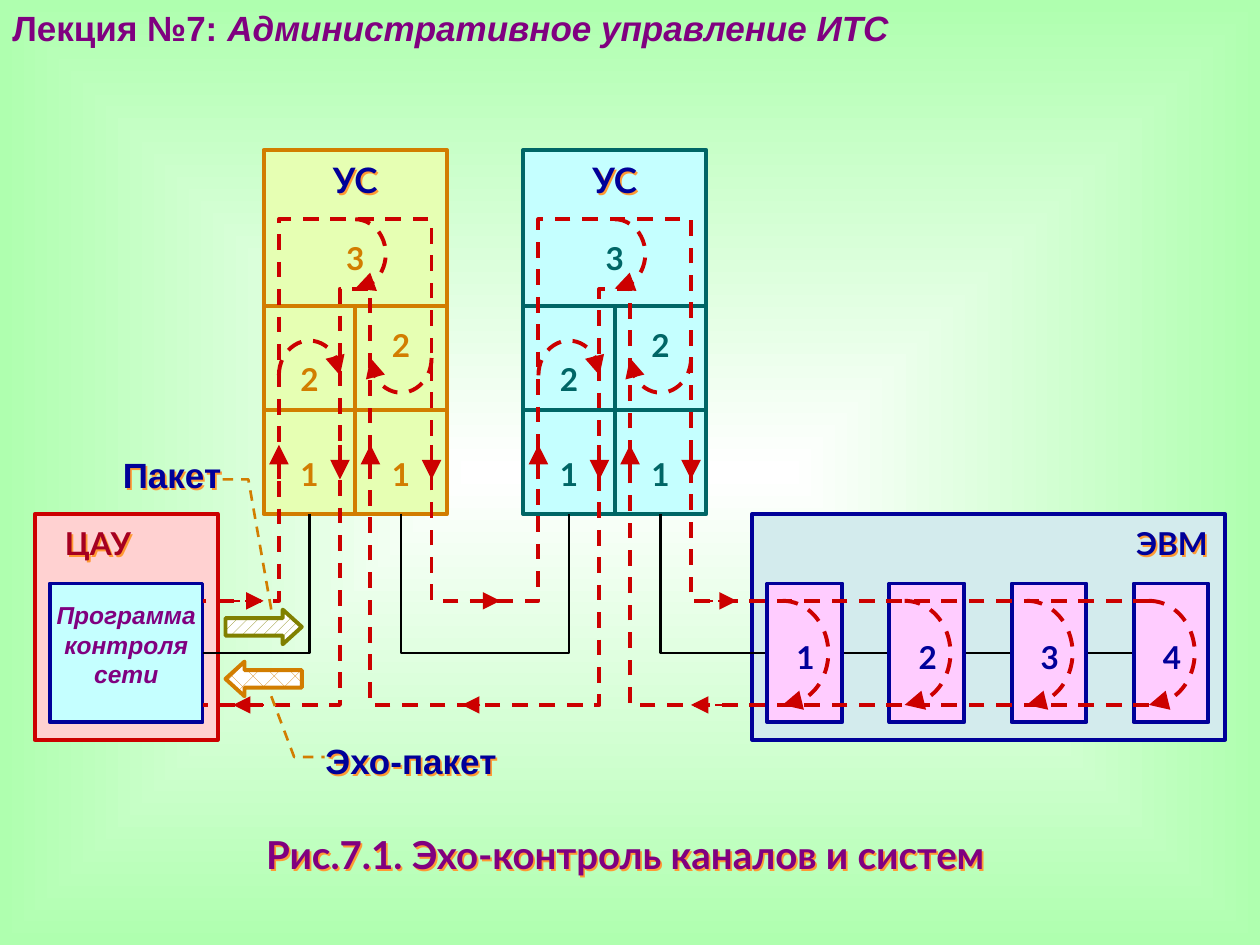
from dataclasses import dataclass

from lxml import etree
from pptx import Presentation
from pptx.dml.color import RGBColor
from pptx.enum.dml import MSO_LINE, MSO_PATTERN
from pptx.enum.shapes import MSO_CONNECTOR, MSO_SHAPE
from pptx.enum.text import MSO_ANCHOR, PP_ALIGN
from pptx.oxml.ns import qn
from pptx.util import Inches, Pt

RECT, ARC = MSO_SHAPE.RECTANGLE, MSO_SHAPE.ARC
RIGHT, LEFT = MSO_SHAPE.RIGHT_ARROW, MSO_SHAPE.LEFT_ARROW
DOTS, BRICK = MSO_PATTERN.PERCENT_20, MSO_PATTERN.DIAGONAL_BRICK
STRAIGHT, DASH = MSO_CONNECTOR.STRAIGHT, MSO_LINE.DASH
MIDDLE, CENTER = MSO_ANCHOR.MIDDLE, PP_ALIGN.CENTER

WHITE = RGBColor(0xFF, 0xFF, 0xFF)
BLACK = RGBColor(0, 0, 0)
MINT = RGBColor(0xAF, 0xFF, 0xAF)
PURPLE = RGBColor(0x80, 0x00, 0x80)
NAVY = RGBColor(0x00, 0x00, 0x99)
RED = RGBColor(0xCC, 0x00, 0x00)
WINE = RGBColor(0xA5, 0x00, 0x21)
AMBER = RGBColor(0xD2, 0x7D, 0x00)
TEAL = RGBColor(0x00, 0x66, 0x66)
OLIVE = RGBColor(0x80, 0x80, 0x00)
LIME = RGBColor(0xE6, 0xFF, 0xB3)
CYAN = RGBColor(0xC5, 0xFF, 0xFF)
ROSE = RGBColor(0xFF, 0xD1, 0xD1)
PINK = RGBColor(0xFF, 0xCC, 0xFF)
STEEL = RGBColor(0xD3, 0xEB, 0xED)
GLOW = RGBColor(0xFF, 0x99, 0x33)

COL, ROW = 9.45 / 78, 4.68 / 34
EAST, SOUTH, WEST, NORTH = 0, 54, 108, 162


@dataclass(frozen=True)
class Pen:
    color: RGBColor
    width: float = 2.25
    dash: bool = False
    head: bool = False


@dataclass(frozen=True)
class Box:
    col: float
    row: float
    cols: float
    rows: float
    fill: RGBColor
    edge: RGBColor


@dataclass(frozen=True)
class Label:
    text: str
    col: float
    row: float
    color: RGBColor
    size: int = 18
    font: str = "Lato"
    cols: float = 6
    rows: float = 2.5
    glow: bool = False
    slant: bool = False


@dataclass(frozen=True)
class Node:
    col: int
    fill: RGBColor
    edge: RGBColor


def at(col: float, row: float) -> tuple[int, int]:
    return Inches(0.275 + col * COL), Inches(1.19 + row * ROW)


def span(cols: float, rows: float) -> tuple[int, int]:
    return Inches(cols * COL), Inches(rows * ROW)


def stroke(shape, pen: Pen) -> None:
    shape.line.color.rgb = pen.color
    shape.line.width = Pt(pen.width)
    if pen.dash:
        shape.line.dash_style = DASH
    if pen.head:
        ln = shape.element.spPr.find(qn("a:ln"))
        etree.SubElement(ln, qn("a:tailEnd"), type="triangle", w="lg", len="lg")


def add_box(slide, box: Box) -> None:
    shape = slide.shapes.add_shape(RECT, *at(box.col, box.row), *span(box.cols, box.rows))
    shape.shadow.inherit = False
    shape.fill.solid()
    shape.fill.fore_color.rgb = box.fill
    stroke(shape, Pen(box.edge))


def add_line(slide, start: tuple, end: tuple, pen: Pen) -> None:
    line = slide.shapes.add_connector(STRAIGHT, *at(*start), *at(*end))
    stroke(line, pen)
    etree.SubElement(line.element.spPr, qn("a:effectLst"))


def add_path(slide, points: list[tuple], pen: Pen) -> None:
    spots = [at(*point) for point in points]
    form = slide.shapes.build_freeform(*spots[0])
    form.add_line_segments(spots[1:], close=False)
    shape = form.convert_to_shape()
    shape.shadow.inherit = False
    shape.fill.background()
    stroke(shape, pen)


def add_arc(slide, col: float, row: float, reach: int, start: int, end: int) -> None:
    shape = slide.shapes.add_shape(ARC, *at(col - reach, row - reach), *span(2 * reach, 2 * reach))
    shape.adjustments[0], shape.adjustments[1] = start, end
    shape.shadow.inherit = False
    shape.fill.background()
    stroke(shape, Pen(RED, dash=True, head=True))


def add_arrow(slide, kind, row: float, color: RGBColor, weave) -> None:
    shape = slide.shapes.add_shape(kind, *at(12.5, row), *span(5, 2))
    shape.adjustments[0], shape.adjustments[1] = 0.5, 0.55
    shape.shadow.inherit = False
    shape.fill.patterned()
    shape.fill.pattern = weave
    shape.fill.fore_color.rgb = color
    shape.fill.back_color.rgb = WHITE
    stroke(shape, Pen(color))


def add_glow(shape) -> None:
    effect = etree.SubElement(shape.element.spPr, qn("a:effectLst"))
    shade = etree.SubElement(effect, qn("a:outerShdw"), dist="18000", dir="2700000", algn="ctr")
    etree.SubElement(shade, qn("a:srgbClr"), val=str(GLOW))


def add_label(slide, label: Label) -> None:
    place = at(label.col - label.cols / 2, label.row - label.rows / 2)
    shape = slide.shapes.add_textbox(*place, *span(label.cols, label.rows))
    frame = shape.text_frame
    frame.word_wrap = True
    frame.vertical_anchor = MIDDLE
    frame.margin_left = frame.margin_right = frame.margin_top = frame.margin_bottom = 0
    para = frame.paragraphs[0]
    para.text = label.text
    para.alignment = CENTER
    font = para.font
    font.name, font.size, font.bold, font.italic = label.font, Pt(label.size), True, label.slant
    font.color.rgb = label.color
    if label.glow:
        add_glow(shape)


def add_header(slide) -> None:
    shape = slide.shapes.add_textbox(0, 0, Inches(7.36), Inches(0.43))
    shape.text_frame.word_wrap = True
    para = shape.text_frame.paragraphs[0]
    para.add_run().text = "Лекция №7: "
    topic = para.add_run()
    topic.text = "Административное управление ИТС"
    topic.font.italic = True
    para.font.name, para.font.size, para.font.bold = "Arial", Pt(20), True
    para.font.color.rgb = PURPLE


def paint(slide) -> None:
    fill = slide.background.fill
    fill.gradient()
    for stop, color in zip(fill.gradient_stops, (WHITE, MINT)):
        stop.color.rgb = color
    grad = slide.element.find(".//" + qn("a:gradFill"))
    grad.remove(grad.find(qn("a:lin")))
    route = etree.SubElement(grad, qn("a:path"), path="shape")
    etree.SubElement(route, qn("a:fillToRect"), l="50000", t="50000", r="50000", b="50000")


def add_node(slide, node: Node) -> None:
    col, pen = node.col, Pen(node.edge)
    add_box(slide, Box(col, 0, 12, 21, node.fill, node.edge))
    for row in (9, 15):
        add_line(slide, (col, row), (col + 12, row), pen)
    add_line(slide, (col + 6, 21), (col + 6, 9), pen)


def add_loops(slide, node: Node) -> None:
    col = node.col
    for step, row, start, end in ((6, 6, NORTH, SOUTH), (3, 13, WEST, EAST), (9, 12, EAST, WEST)):
        add_arc(slide, col + step, row, 2, start, end)
    for step, start, end in ((1, 19, 17), (5, 17, 19), (7, 19, 17), (11, 17, 19)):
        add_line(slide, (col + step, start), (col + step, end), Pen(RED, dash=True, head=True))
    add_label(slide, Label("УС", col + 6, 1.73, NAVY, 20, glow=True))
    for text, step, row in (("3", 6, 6.2), ("2", 3, 13.2), ("2", 9, 11.23), ("1", 3, 18.7), ("1", 9, 18.7)):
        add_label(slide, Label(text, col + step, row, node.edge, cols=3))


NODES = [Node(15, LIME, AMBER), Node(32, CYAN, TEAL)]
BOXES = [Box(0, 21, 12, 13, ROSE, RED), Box(1, 25, 10, 8, CYAN, NAVY), Box(47, 21, 31, 13, STEEL, NAVY)]
WIRES = [
    [(24, 21), (24, 29), (35, 29), (35, 21)],
    [(18, 21), (18, 29), (11, 29)],
    [(41, 21), (41, 29), (72, 29)],
]
ROUTES = [
    [(73, 26), (43, 26), (43, 4), (33, 4), (33, 26), (26, 26), (26, 4), (16, 4), (16, 26), (11, 26)],
    [(73, 32), (39, 32), (39, 8), (37, 8), (37, 32), (22, 32), (22, 8), (20, 8), (20, 32), (11, 32)],
]
HINTS = [[(15.5, 31.5), (17, 35), (19, 35)], [(15.5, 26.5), (14, 19), (12, 19)]]
FLOWS = [(13, 15, 26), (28.5, 30.5, 26), (44, 46, 26), (15, 13, 32), (30, 28, 32), (45, 43, 32)]
LABELS = [
    Label("ЭВМ", 74.5, 22.68, NAVY, glow=True),
    Label("ЦАУ", 4.15, 22.68, WINE, glow=True),
    Label("Программа контроля сети", 6, 28.5, PURPLE, 14, "Arial", 10, 6, slant=True),
    Label("Пакет", 9, 18.7, NAVY, 20, "Arial", 8, glow=True),
    Label("Эхо-пакет", 24.65, 35.2, NAVY, 20, "Arial", 12, glow=True),
    Label("Рис.7.1. Эхо-контроль каналов и систем", 38.7, 40.63, PURPLE, 22, cols=64, rows=3, glow=True),
]


def main() -> None:
    deck = Presentation()
    deck.slide_width, deck.slide_height = Inches(10), Inches(7.5)
    slide = deck.slides.add_slide(deck.slide_layouts[6])
    paint(slide)
    add_header(slide)
    for box in BOXES:
        add_box(slide, box)
    for node in NODES:
        add_node(slide, node)
    for wire in WIRES:
        add_path(slide, wire, Pen(BLACK, 1.5))
    for step in range(4):
        add_box(slide, Box(48 + 8 * step, 25, 4.9, 8, PINK, NAVY))
    for route in ROUTES:
        add_path(slide, route, Pen(RED, dash=True))
    for node in NODES:
        add_loops(slide, node)
    for start, end, row in FLOWS:
        add_line(slide, (start, row), (end, row), Pen(RED, 1, True, True))
    for step in range(4):
        add_arc(slide, 49 + 8 * step, 29, 3, NORTH, SOUTH)
        add_label(slide, Label(str(step + 1), 50.5 + 8 * step, 29.25, NAVY, cols=3))
    add_arrow(slide, RIGHT, 26.5, OLIVE, DOTS)
    add_arrow(slide, LEFT, 29.5, AMBER, BRICK)
    for hint in HINTS:
        add_path(slide, hint, Pen(AMBER, 1.5, True))
    for label in LABELS:
        add_label(slide, label)
    deck.save("out.pptx")


if __name__ == "__main__":
    main()
